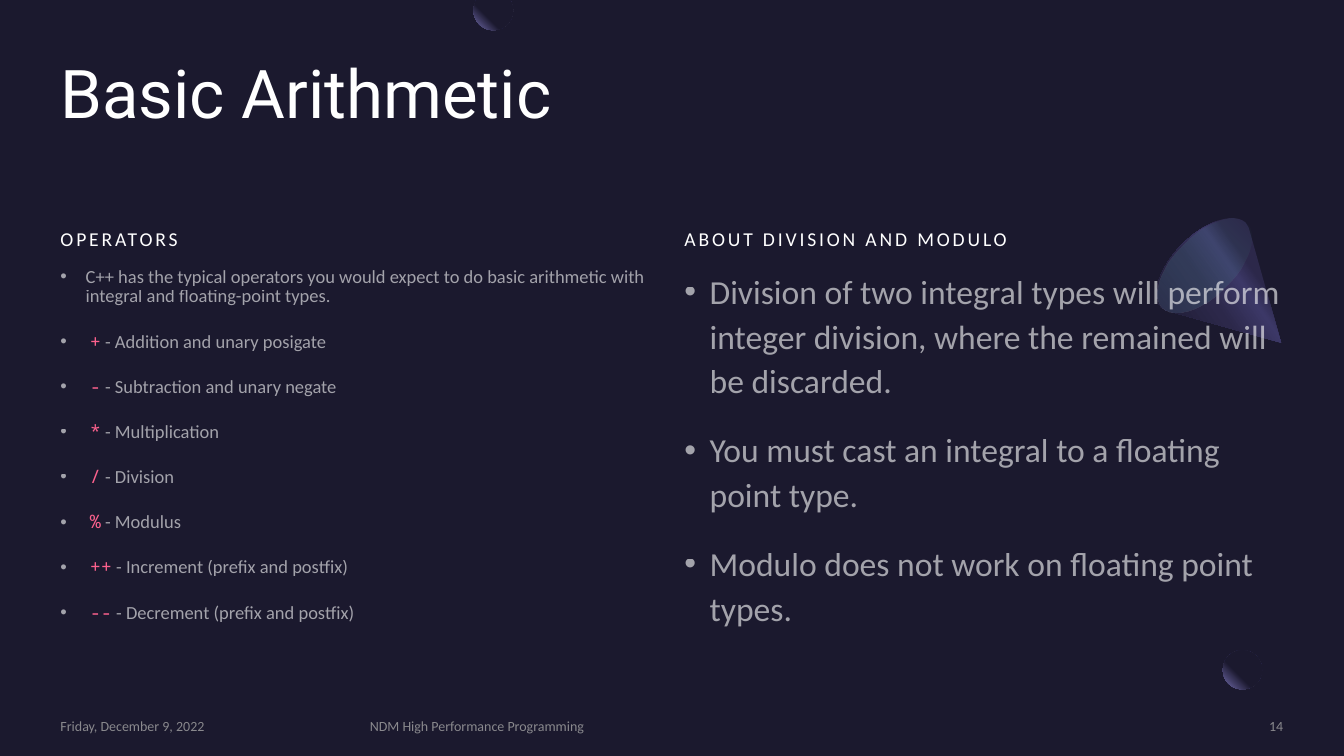
"""Builds the "Basic Arithmetic" slide."""
import math

from lxml import etree
from pptx import Presentation
from pptx.dml.color import RGBColor
from pptx.enum.shapes import MSO_SHAPE
from pptx.enum.text import MSO_ANCHOR, PP_ALIGN
from pptx.oxml.ns import qn
from pptx.util import Pt

OVAL, RECTANGLE = MSO_SHAPE.OVAL, MSO_SHAPE.RECTANGLE
TOP, MIDDLE, BOTTOM = MSO_ANCHOR.TOP, MSO_ANCHOR.MIDDLE, MSO_ANCHOR.BOTTOM
LEFT, RIGHT = PP_ALIGN.LEFT, PP_ALIGN.RIGHT

NIGHT, WHITE, PINK, GREY = "1B192E", "FFFFFF", "FC618D", "A6A6A6"
BODY_FONT, CODE_FONT, TITLE_FONT = "Calibri", "Noto Sans Mono", "Roboto"
COLUMNS, COLUMN_WIDTH = (43.2, 488.9), 428.4
UNITS_PER_POINT, EMU_PER_UNIT = 100, 127

MOON_STOPS = [(60, NIGHT, 100), (100, "7771B2", 100)]
CONE_STOPS = [(30, "2C284A", 100), (40, "3C3867", 100),
              (60, "2C284A", 100), (100, NIGHT, 100)]
BASE_STOPS = [(0, "454075", 33), (100, "5BEFC1", 0)]
CONE_TIP = (915.1, 244.8)
CONE_RIM_START = (833, 221.8)
CONE_RIM = [
    ((832.3, 221), (830.9, 220.3), (829.4, 219.6)),
    ((821.5, 211), (828, 190.8), (844.6, 174.2)),
    ((861.1, 157.7), (881.3, 151.2), (889.9, 159.1)),
    ((890.6, 160.6), (891.4, 161.3), (892.1, 163)),
]

INTRO = ("C++ has the typical operators you would expect to do basic "
         "arithmetic with integral and floating-point types.")
OPERATORS = [
    ("+", "Addition and unary posigate"),
    ("-", "Subtraction and unary negate"),
    ("*", "Multiplication"),
    ("/", "Division"),
    ("%", "Modulus"),
    ("++", "Increment (prefix and postfix)"),
    ("--", "Decrement (prefix and postfix)"),
]
DIVISION_NOTES = [
    "Division of two integral types will perform integer division, "
    "where the remained will be discarded.",
    "You must cast an integral to a floating point type.",
    "Modulo does not work on floating point types.",
]
FOOTERS = [
    (43.2, 207.4, "Friday, December 9, 2022", LEFT),
    (264.2, 502.6, "NDM High Performance Programming", LEFT),
    (783.4, 133.2, "14", RIGHT),
]


def set_opacity(element, percent):
    """Give the first colour inside an element its opacity."""
    if percent < 100:
        color = next(element.iter(qn("a:srgbClr")))
        etree.SubElement(color, qn("a:alpha"), val=str(percent * 1000))


def paint(color_format, hex_color, element, opacity=100):
    """Apply a hex colour and its opacity."""
    color_format.rgb = RGBColor.from_string(hex_color)
    set_opacity(element, opacity)


def fill_gradient(shape, stops, angle=None):
    """Fill with a linear gradient, or one radiating from the top right."""
    shape.fill.background()
    properties = shape._element.spPr
    gradient = etree.Element(qn("a:gradFill"), rotWithShape="1")
    stop_list = etree.SubElement(gradient, qn("a:gsLst"))
    for position, hex_color, opacity in stops:
        stop = etree.SubElement(stop_list, qn("a:gs"), pos=str(position * 1000))
        etree.SubElement(stop, qn("a:srgbClr"), val=hex_color)
        set_opacity(stop, opacity)
    if angle is None:
        radial = etree.SubElement(gradient, qn("a:path"), path="circle")
        etree.SubElement(radial, qn("a:fillToRect"), l="100000", b="100000")
    else:
        etree.SubElement(gradient, qn("a:lin"), ang=str(angle * 60000), scaled="0")
    properties.replace(properties.find(qn("a:noFill")), gradient)


def bare(shape):
    """Remove the shadow and outline of a shape."""
    shape.shadow.inherit = False
    shape.line.fill.background()
    return shape


def add_preset(slide, kind, box, rotation=0):
    """Add an unoutlined preset shape."""
    shape = bare(slide.shapes.add_shape(kind, *map(Pt, box)))
    shape.rotation = rotation
    return shape


def add_outline(slide, points):
    """Add a closed freeform through points."""
    start, *rest = [(x * UNITS_PER_POINT, y * UNITS_PER_POINT) for x, y in points]
    builder = slide.shapes.build_freeform(*start, scale=EMU_PER_UNIT)
    builder.add_line_segments(rest, close=True)
    return bare(builder.convert_to_shape())


def curve_points(start, curves, steps=12):
    """Sample a chain of cubic curves."""
    points = [start]
    for first, second, end in curves:
        for step in range(1, steps + 1):
            t = step / steps
            weights = ((1 - t) ** 3, 3 * t * (1 - t) ** 2, 3 * t * t * (1 - t), t ** 3)
            points.append(tuple(
                sum(w * value for w, value in zip(weights, axis))
                for axis in zip(start, first, second, end)))
        start = end
    return points


def cut_circle_points(center_x, center_y, radius, steps=48):
    """Trace the part of a circle below the slide's top edge."""
    overhang = math.asin(center_y / radius)
    sweep = math.pi + 2 * overhang
    angles = [sweep * step / steps - overhang for step in range(steps + 1)]
    return [(center_x + radius * math.cos(a), center_y + radius * math.sin(a))
            for a in angles]


def add_text_frame(slide, box, anchor=TOP):
    """Add a wrapping text box without insets."""
    frame = slide.shapes.add_textbox(*map(Pt, box)).text_frame
    frame.word_wrap = True
    frame.vertical_anchor = anchor
    frame.margin_left = frame.margin_top = 0
    frame.margin_right = frame.margin_bottom = 0
    return frame


def style_paragraph(paragraph, size, color, opacity=100, font=BODY_FONT, spacing=1.0):
    """Set the font and line spacing of a paragraph."""
    paragraph.line_spacing = spacing
    paragraph.font.name = font
    paragraph.font.size = Pt(size)
    paint(paragraph.font.color, color, paragraph._p, opacity)


def add_heading(slide, left, text):
    """Add a letter-spaced column heading."""
    paragraph = add_text_frame(slide, (left, 136.1, COLUMN_WIDTH, 42.5), BOTTOM).paragraphs[0]
    style_paragraph(paragraph, 14, WHITE, spacing=1.1)
    paragraph.space_before, paragraph.space_after = Pt(10), Pt(8)
    run = paragraph.add_run()
    run.text = text
    run._r.get_or_add_rPr().set("spc", "200")


def add_bullets(slide, left, items, size, spacing):
    """Add a bulleted column whose items are lists of (text, is_code)."""
    frame = add_text_frame(slide, (left, 190.8, COLUMN_WIDTH, 276.5))
    for index, item in enumerate(items):
        paragraph = frame.add_paragraph() if index else frame.paragraphs[0]
        properties = paragraph._p.get_or_add_pPr()
        properties.set("marL", str(Pt(18)))
        properties.set("indent", str(-Pt(18)))
        etree.SubElement(properties, qn("a:buFont"), typeface="Arial")
        etree.SubElement(properties, qn("a:buChar"), char="•")
        style_paragraph(paragraph, size, WHITE, 60, spacing=spacing)
        paragraph.space_before, paragraph.space_after = Pt(10), Pt(8)
        for text, is_code in item:
            run = paragraph.add_run()
            run.text = text
            if is_code:
                run.font.name = CODE_FONT
                paint(run.font.color, PINK, run._r)


def add_line_of_text(slide, box, text, size, color, opacity=100, font=BODY_FONT,
                     spacing=1.0, anchor=TOP, align=LEFT):
    """Add a text box holding one plain paragraph."""
    paragraph = add_text_frame(slide, box, anchor).paragraphs[0]
    paragraph.alignment = align
    style_paragraph(paragraph, size, color, opacity, font, spacing)
    paragraph.add_run().text = text


def add_decorations(slide):
    """Add the two moons and the cone."""
    fill_gradient(add_preset(slide, OVAL, (873.4, 464.4, 28.1, 28.1)), MOON_STOPS)
    veil = add_preset(slide, RECTANGLE, (901.4, 458.6, 29.5, 28.1))
    veil.fill.solid()
    paint(veil.fill.fore_color, NIGHT, veil._element.spPr, 80)
    cone = add_outline(slide, [CONE_TIP] + curve_points(CONE_RIM_START, CONE_RIM))
    fill_gradient(cone, CONE_STOPS, 145)
    base = add_preset(slide, OVAL, (838.8, 146.9, 42.5, 85), 225)
    fill_gradient(base, BASE_STOPS, 90)
    fill_gradient(add_outline(slide, cut_circle_points(352.4, 7.5, 14.1)), MOON_STOPS)


def main():
    """Build and save the slide."""
    deck = Presentation()
    deck.slide_width, deck.slide_height = Pt(960), Pt(540)
    slide = deck.slides.add_slide(deck.slide_layouts[6])
    background = slide.background.fill
    background.solid()
    paint(background.fore_color, NIGHT, slide._element)
    add_decorations(slide)
    add_line_of_text(slide, (43.2, 43.2, 874.1, 105.1), "Basic Arithmetic", 48, WHITE,
                     font=TITLE_FONT, spacing=0.9)
    for left, heading in zip(COLUMNS, ("OPERATORS", "ABOUT DIVISION AND MODULO")):
        add_heading(slide, left, heading)
    operator_items = [[(INTRO, False)]] + [
        [(" ", False), (symbol, True), (f" - {meaning}", False)]
        for symbol, meaning in OPERATORS]
    add_bullets(slide, COLUMNS[0], operator_items, 13.2, 0.9)
    add_bullets(slide, COLUMNS[1], [[(note, False)] for note in DIVISION_NOTES], 24, 1.1)
    for left, width, text, align in FOOTERS:
        add_line_of_text(slide, (left, 512.6, width, 12.2), text, 10, GREY, 80,
                         anchor=MIDDLE, align=align)
    deck.save("out.pptx")


main()
